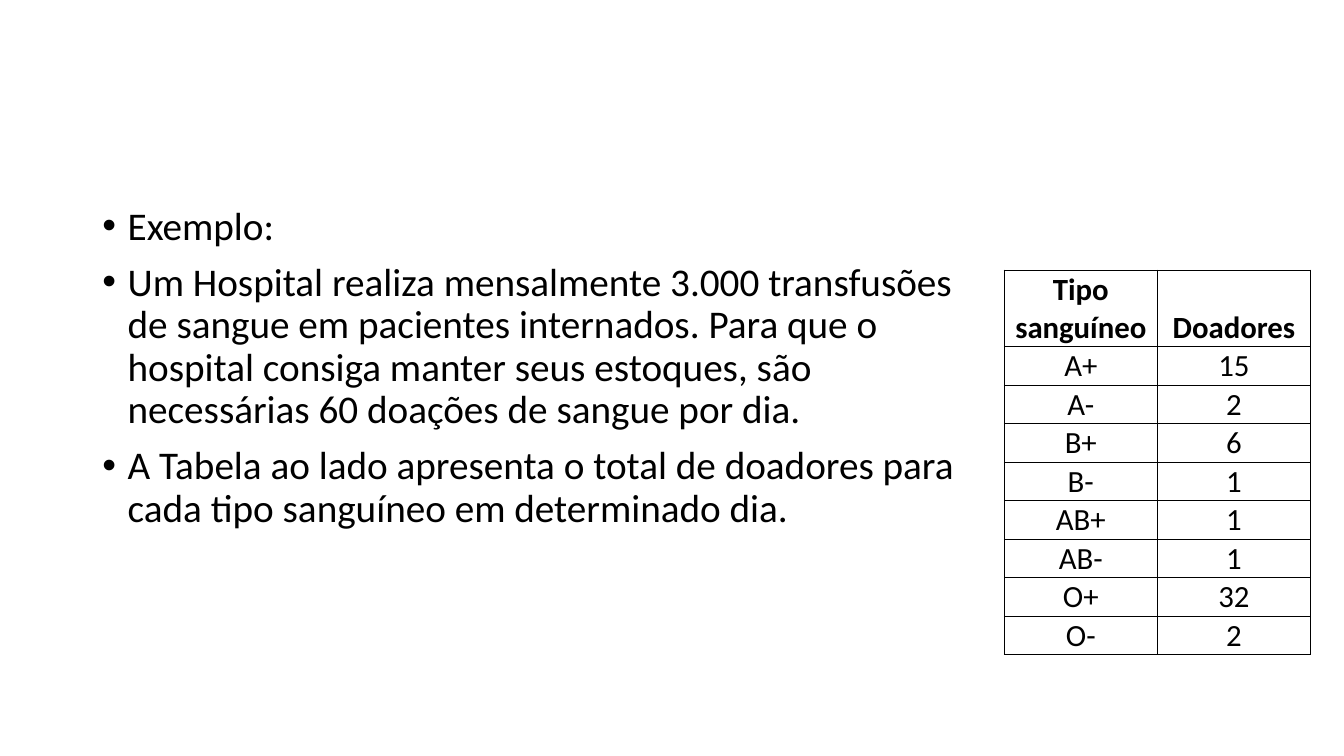
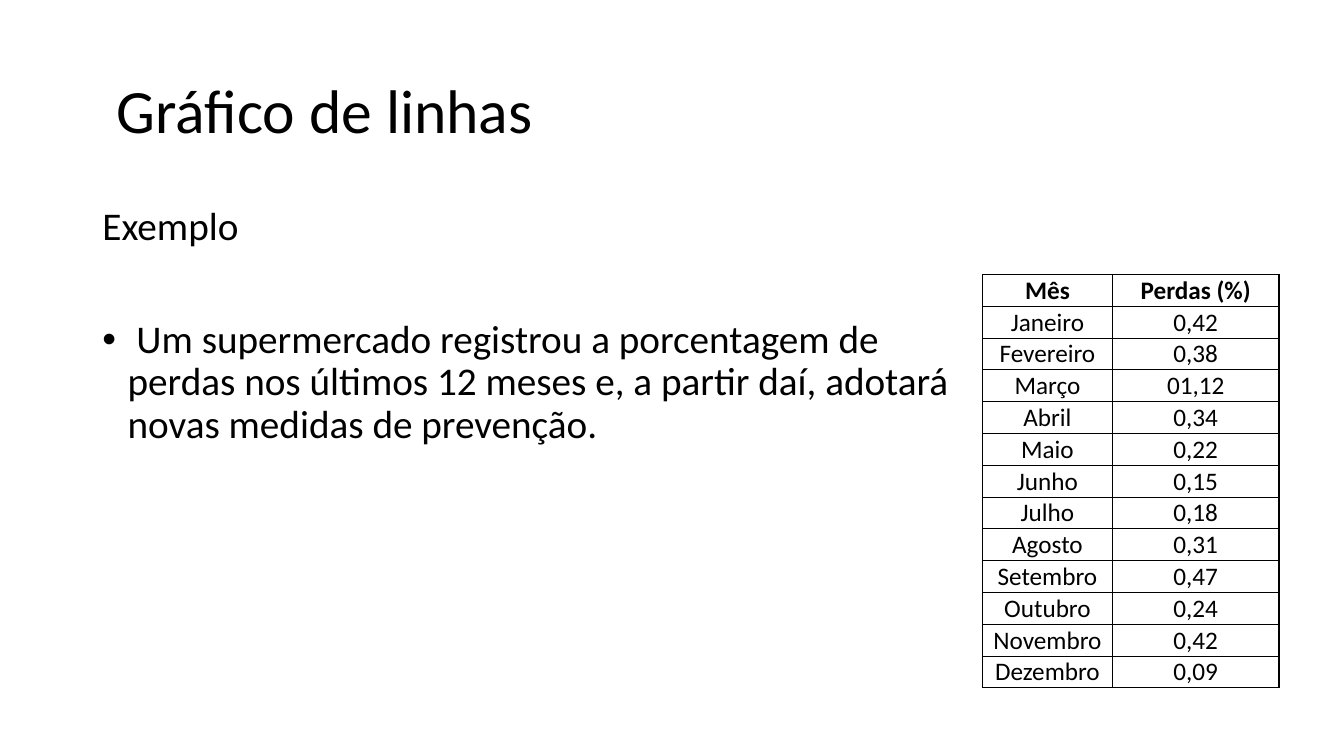
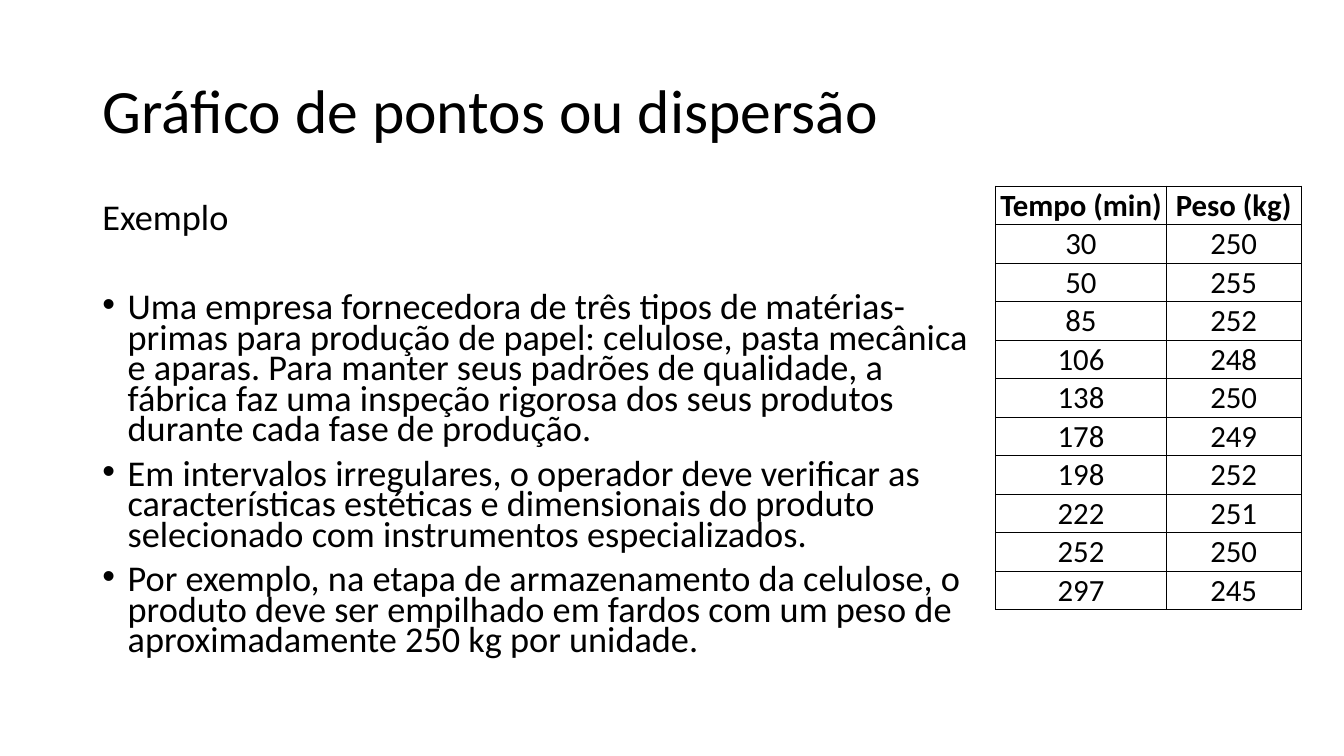
"""Build three statistics slides, each pairing an example with its data table."""
import dataclasses

import lxml.etree
import pptx
import pptx.dml.color
import pptx.enum.text
import pptx.oxml.ns
import pptx.util

Pt = pptx.util.Pt
qn = pptx.oxml.ns.qn


@dataclasses.dataclass(frozen=True)
class Theme:
    font: str = "Calibri"
    ink: str = "000000"
    title_size: float = 44
    body_size: float = 28
    dense_size: float = 25.9
    table_size: float = 22
    small_table_size: float = 18
    thin: float = 0.5
    thick: float = 1


theme = Theme()


def add_span(para, text, size, bold=False):
    span = para.add_run()
    span.text = text
    span.font.name = theme.font
    span.font.size = Pt(size)
    span.font.bold = bold
    span.font.color.rgb = pptx.dml.color.RGBColor.from_string(theme.ink)


def add_border(cell, side, width):
    line = lxml.etree.SubElement(cell._tc.get_or_add_tcPr(), qn(f"a:ln{side}"), w=str(Pt(width)))
    fill = lxml.etree.SubElement(line, qn("a:solidFill"))
    lxml.etree.SubElement(fill, qn("a:srgbClr"), val=theme.ink)


slides = [
    {
        "title": None,
        "heading": None,
        "bullets": [
            "Exemplo:",
            "Um Hospital realiza mensalmente 3.000 transfusões de sangue em pacientes internados. "
            "Para que o hospital consiga manter seus estoques, são necessárias 60 doações de sangue por dia.",
            "A Tabela ao lado apresenta o total de doadores para cada tipo sanguíneo em determinado dia.",
        ],
        "body_width": 651.6, "body_size": theme.body_size, "spacing": 0.9, "heading_gap": 10,
        "table_at": (717.3, 193), "columns": (109.4, 109.4), "header_height": 54.4, "row_height": 27.5,
        "table_size": theme.table_size, "frame": theme.thin,
        "rows": [("Tipo sanguíneo", "Doadores"), ("A+", "15"), ("A-", "2"), ("B+", "6"), ("B-", "1"),
                 ("AB+", "1"), ("AB-", "1"), ("O+", "32"), ("O-", "2")],
    },
    {
        "title": " Gráfico de linhas",
        "heading": "Exemplo",
        "bullets": [
            " Um supermercado registrou a porcentagem de perdas nos últimos 12 meses e, "
            "a partir daí, adotará novas medidas de prevenção.",
        ],
        "body_width": 645, "body_size": theme.body_size, "spacing": 0.9, "heading_gap": 50.8,
        "table_at": (701.8, 196), "columns": (92.8, 119), "header_height": 22.7, "row_height": 22.7,
        "table_size": theme.small_table_size, "frame": theme.thick,
        "rows": [("Mês", "Perdas (%)"), ("Janeiro", "0,42"), ("Fevereiro", "0,38"), ("Março", "01,12"),
                 ("Abril", "0,34"), ("Maio", "0,22"), ("Junho", "0,15"), ("Julho", "0,18"),
                 ("Agosto", "0,31"), ("Setembro", "0,47"), ("Outubro", "0,24"),
                 ("Novembro", "0,42"), ("Dezembro", "0,09")],
    },
    {
        "title": "Gráfico de pontos ou dispersão",
        "heading": "Exemplo",
        "bullets": [
            "Uma empresa fornecedora de três tipos de matérias-primas para produção de papel: celulose, "
            "pasta mecânica e aparas. Para manter seus padrões de qualidade, a fábrica faz uma inspeção "
            "rigorosa dos seus produtos durante cada fase de produção.",
            "Em intervalos irregulares, o operador deve verificar as características estéticas e "
            "dimensionais do produto selecionado com instrumentos especializados.",
            "Por exemplo, na etapa de armazenamento da celulose, o produto deve ser empilhado em fardos "
            "com um peso de aproximadamente 250 kg por unidade.",
        ],
        "body_width": 645, "body_size": theme.dense_size, "spacing": 0.7, "heading_gap": 42,
        "table_at": (711.3, 133), "columns": (121.7, 96.4), "header_height": 27.5, "row_height": 27.5,
        "table_size": theme.table_size, "frame": theme.thick,
        "rows": [("Tempo (min)", "Peso (kg)"), ("30", "250"), ("50", "255"), ("85", "252"),
                 ("106", "248"), ("138", "250"), ("178", "249"), ("198", "252"),
                 ("222", "251"), ("252", "250"), ("297", "245")],
    },
]

deck = pptx.Presentation()
deck.slide_width, deck.slide_height = Pt(960), Pt(540)

for content in slides:
    page = deck.slides.add_slide(deck.slide_layouts[1])
    title, body = page.shapes.title, page.placeholders[1]

    if content["title"]:
        title.left, title.top, title.width, title.height = Pt(66), Pt(28.75), Pt(828), Pt(104.4)
        title.text_frame.auto_size = pptx.enum.text.MSO_AUTO_SIZE.NONE
        title.text_frame.vertical_anchor = pptx.enum.text.MSO_ANCHOR.MIDDLE
        para = title.text_frame.paragraphs[0]
        para.alignment = pptx.enum.text.PP_ALIGN.LEFT
        para.line_spacing = 0.9
        add_span(para, content["title"], theme.title_size)
    else:
        title.element.getparent().remove(title.element)

    body.left, body.top, body.width, body.height = Pt(66), Pt(143.75), Pt(content["body_width"]), Pt(342.6)
    frame = body.text_frame
    frame.auto_size = pptx.enum.text.MSO_AUTO_SIZE.NONE
    heading = [content["heading"]] if content["heading"] else []
    for index, text in enumerate(heading + content["bullets"]):
        para = frame.add_paragraph() if index else frame.paragraphs[0]
        bulleted = index >= len(heading)
        properties = para._p.get_or_add_pPr()
        properties.set("marL", str(Pt(18 if bulleted else 0)))
        properties.set("indent", str(Pt(-18 if bulleted else 0)))
        if bulleted:
            lxml.etree.SubElement(properties, qn("a:buFont"), typeface="Arial")
            lxml.etree.SubElement(properties, qn("a:buChar"), char="•")
        else:
            lxml.etree.SubElement(properties, qn("a:buNone"))
        para.line_spacing = content["spacing"]
        para.space_before = Pt((0, content["heading_gap"], 10)[min(index, 2)])
        add_span(para, text, content["body_size"])

    rows, columns = content["rows"], content["columns"]
    heights = [content["header_height"]] + [content["row_height"]] * (len(rows) - 1)
    left, top = content["table_at"]
    table = page.shapes.add_table(
        len(rows), len(columns), Pt(left), Pt(top), Pt(sum(columns)), Pt(sum(heights))).table
    table.first_row = table.horz_banding = False
    for column, width in zip(table.columns, columns):
        column.width = Pt(width)
    for row_index, (row, height) in enumerate(zip(rows, heights)):
        table.rows[row_index].height = Pt(height)
        header = row_index == 0
        for column_index, text in enumerate(row):
            cell = table.cell(row_index, column_index)
            cell.margin_left = cell.margin_right = cell.margin_top = Pt(0.72)
            cell.margin_bottom = Pt(0)
            cell.vertical_anchor = pptx.enum.text.MSO_ANCHOR.BOTTOM
            outer = {"L": column_index == 0, "R": column_index == len(row) - 1,
                     "T": False, "B": row_index == len(rows) - 1}
            for side, at_edge in outer.items():
                under_header = side == "T" and row_index == 1
                inner = theme.thick if header or under_header else theme.thin
                add_border(cell, side, content["frame"] if at_edge and not header else inner)
            cell.fill.background()
            para = cell.text_frame.paragraphs[0]
            para.alignment = pptx.enum.text.PP_ALIGN.CENTER
            add_span(para, text, content["table_size"], bold=header)

deck.save("out.pptx")
